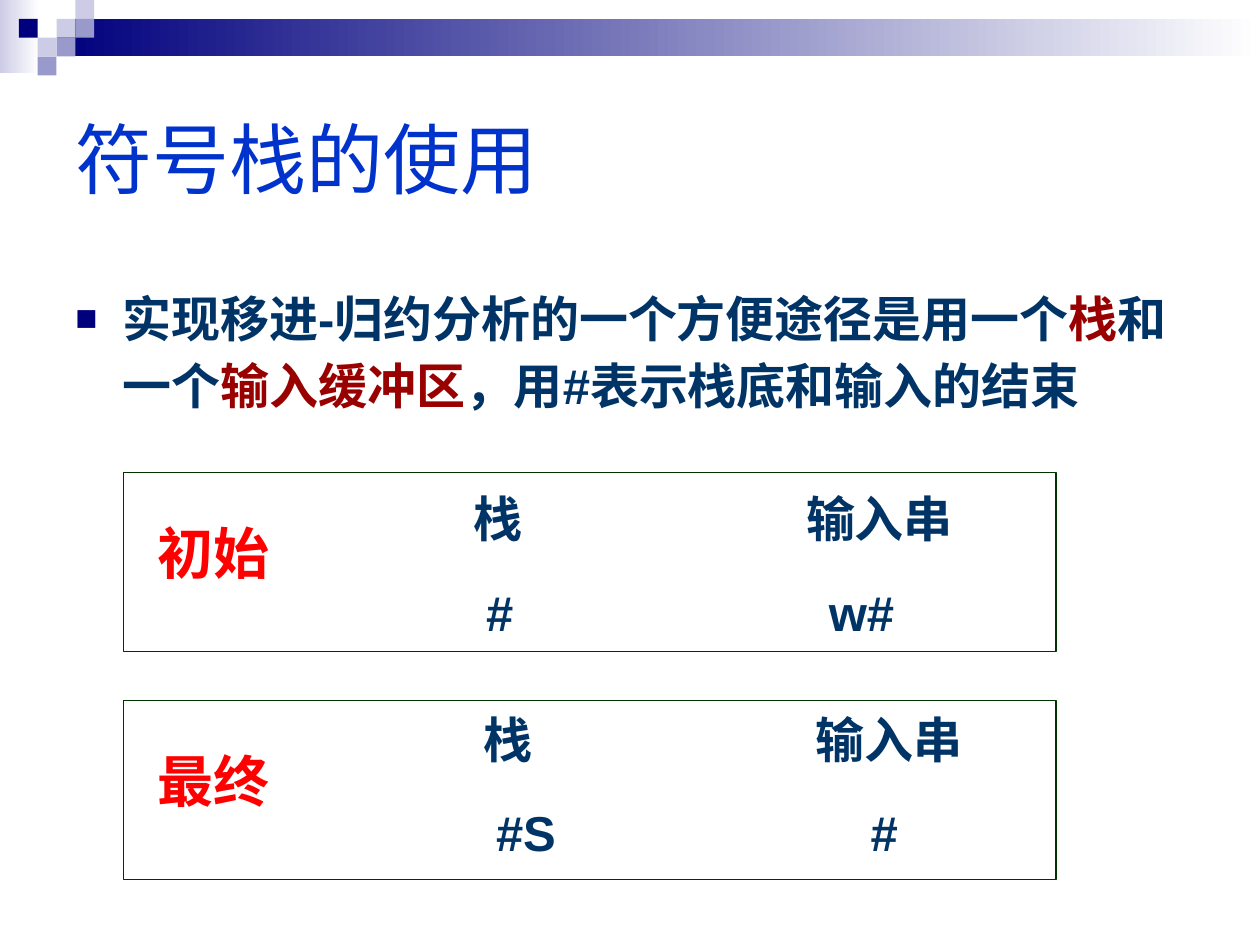
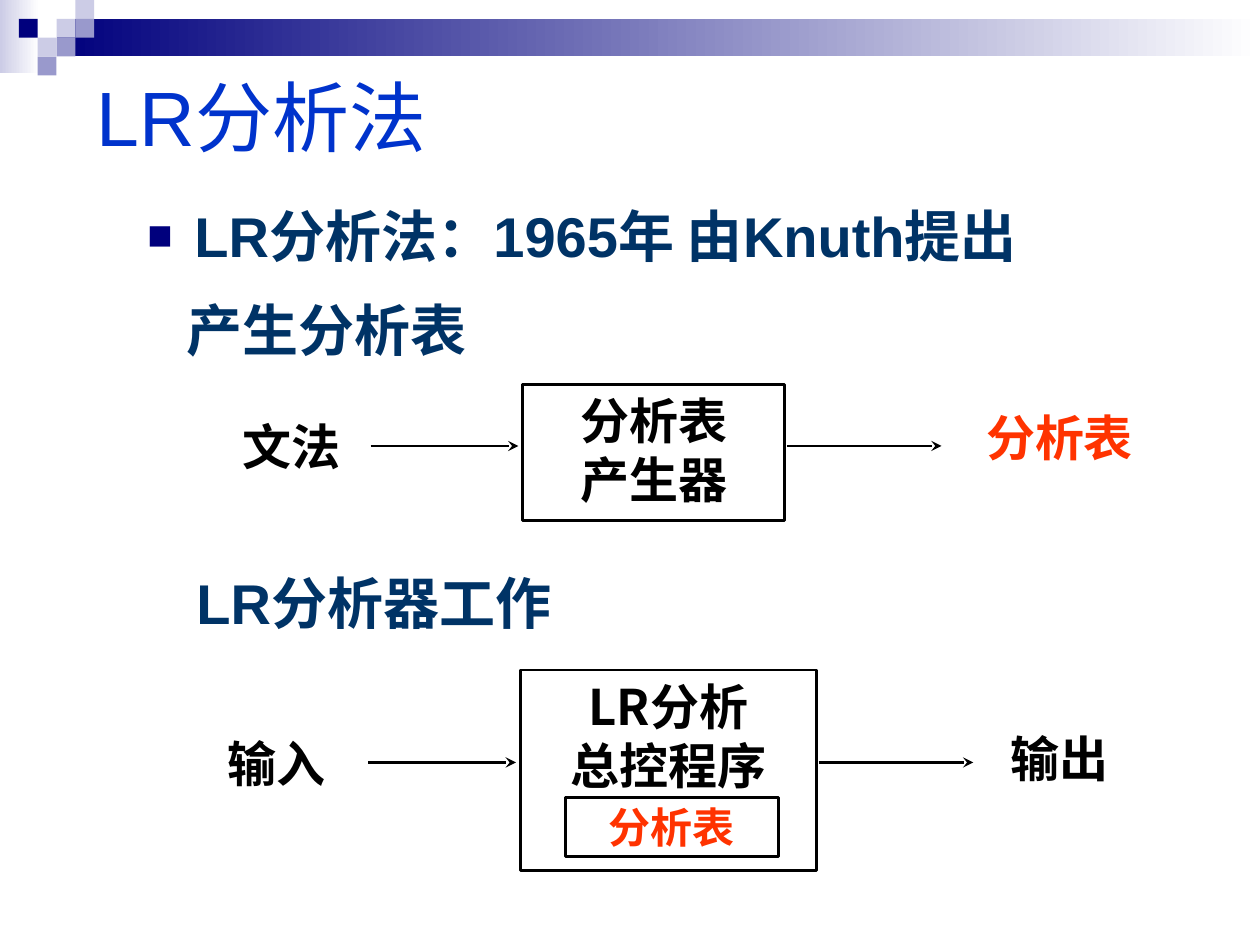
from dataclasses import dataclass

from lxml import etree
from pptx import Presentation
from pptx.dml.color import RGBColor
from pptx.enum import shapes, text
from pptx.oxml import ns
from pptx.util import Cm, Pt


@dataclass(frozen=True)
class Theme:
    navy: str = "00007D"
    mid: str = "9999CC"
    light: str = "CCCCE6"
    white: str = "FFFFFF"
    black: str = "000000"
    title: str = "0033CC"
    body: str = "003366"
    key: str = "990000"
    stage: str = "FF0000"
    table: str = "FF3300"
    frame: str = "003300"
    title_size: int = 44
    head_size: int = 32
    body_size: int = 28
    small_size: int = 24
    sans: str = "Arial"
    serif: str = "Times New Roman"
    cjk: str = "Noto Sans CJK SC"


T = Theme()
TITLE = dict(size=T.title_size, name=T.sans, color=T.title, bold=False)
HEAD = dict(size=T.head_size, name=T.sans, color=T.body, bold=True)
BODY = HEAD | dict(size=T.body_size)
STAGE = HEAD | dict(color=T.stage)
CENTER = text.PP_ALIGN.CENTER
MIDDLE = text.MSO_ANCHOR.MIDDLE
TOP = text.MSO_ANCHOR.TOP


def rgb(value):
    return RGBColor.from_string(value)


def add_run(p, words, style):
    r = p.add_run()
    r.text = words
    values = dict(size=Pt(style["size"]), name=style["name"], bold=style["bold"])
    for key, value in values.items():
        setattr(r.font, key, value)
    r.font.color.rgb = rgb(style["color"])
    ea = etree.SubElement(r.font._element, ns.qn("a:ea"))
    ea.set("typeface", T.cjk)


def write(tf, lines, style, align=text.PP_ALIGN.LEFT, anchor=TOP):
    """Each line is a string, or a list of (words, colour) pairs."""
    tf.word_wrap = True
    tf.vertical_anchor = anchor
    for i, line in enumerate(lines):
        p = tf.paragraphs[0] if i == 0 else tf.add_paragraph()
        p.alignment = align
        parts = [(line, style["color"])] if isinstance(line, str) else line
        for words, color in parts:
            add_run(p, words, style | dict(color=color))


def add_text(slide, box, lines, style, **layout):
    sp = slide.shapes.add_textbox(*map(Cm, box))
    write(sp.text_frame, lines, style, **layout)
    return sp


def add_bullet(p):
    pPr = p._p.get_or_add_pPr()
    pPr.set("marL", str(Cm(0.95)))
    pPr.set("indent", str(-Cm(0.95)))
    color = etree.SubElement(pPr, ns.qn("a:buClr"))
    etree.SubElement(color, ns.qn("a:srgbClr")).set("val", T.navy)
    for tag, key, value in (("a:buSzPct", "val", "75000"),
                            ("a:buFont", "typeface", T.sans),
                            ("a:buChar", "char", "■")):
        etree.SubElement(pPr, ns.qn(tag)).set(key, value)


def add_rect(slide, box, fill=None, line=None, weight=1.5):
    """fill is one colour, or a pair for a left-to-right gradient."""
    sp = slide.shapes.add_shape(shapes.MSO_SHAPE.RECTANGLE, *map(Cm, box))
    sp.shadow.inherit = False
    if fill is None:
        sp.fill.background()
    elif isinstance(fill, str):
        sp.fill.solid()
        sp.fill.fore_color.rgb = rgb(fill)
    else:
        sp.fill.gradient()
        sp.fill.gradient_angle = 0
        for stop, color in zip(sp.fill.gradient_stops, fill):
            stop.color.rgb = rgb(color)
    if line:
        sp.line.color.rgb = rgb(line)
        sp.line.width = Pt(weight)
    else:
        sp.line.fill.background()
    return sp


def add_arrow(slide, x1, x2, y):
    cxn = slide.shapes.add_connector(
        shapes.MSO_CONNECTOR.STRAIGHT, Cm(x1), Cm(y), Cm(x2), Cm(y))
    cxn.line.color.rgb = rgb(T.black)
    cxn.line.width = Pt(1.5)
    tail = etree.SubElement(cxn.line._get_or_add_ln(), ns.qn("a:tailEnd"))
    tail.set("type", "stealth")
    etree.SubElement(cxn._element.spPr, ns.qn("a:effectLst"))


def add_band(slide):
    cell = 0.38
    add_rect(slide, (0, 0, 0.79, 1.47), (T.light, T.white))
    add_rect(slide, (3 * cell, cell, 25.4 - 3 * cell, 2 * cell), (T.navy, T.white))
    mosaic = ((3, 1, T.light), (4, 0, T.light), (4, 1, T.mid), (2, 2, T.light),
              (1, 1, T.navy), (3, 2, T.mid), (2, 3, T.mid))
    for col, row, color in mosaic:
        add_rect(slide, (col * cell, row * cell, cell, cell), color)


def new_slide(prs, title, title_box):
    slide = prs.slides.add_slide(prs.slide_layouts[5])
    add_band(slide)
    sp = slide.shapes.title
    for key, value in zip(("left", "top", "width", "height"), title_box):
        setattr(sp, key, Cm(value))
    write(sp.text_frame, [title], TITLE, anchor=MIDDLE)
    return slide


def stack_panel(slide, box, stage, columns_at, values, input_dx):
    """A framed state: its stage name, then the stack and the input columns."""
    left, top = box[:2]
    x, y = left + columns_at[0], top + columns_at[1]
    add_rect(slide, box, line=T.frame, weight=0.75)
    add_text(slide, (left + 0.42, top + 0.8, 2.79, 1.63), [stage], STAGE, align=CENTER)
    cells = (("栈", 0, 0), ("输入串", 6.7, 0),
             (values[0], 0.25, 1.89), (values[1], input_dx, 1.89))
    for words, dx, dy in cells:
        add_text(slide, (x + dx, y + dy, 3.7, 1.45), [words], BODY)


def flow(slide, box, lines, style, arrow_dy, source, result):
    """A process box with an arrow in and out; labels are (words, dx, dy, style)."""
    left, top, width, _ = box
    right = left + width
    sp = add_rect(slide, box, line=T.black)
    write(sp.text_frame, lines, style, align=CENTER)
    add_arrow(slide, left - 3.07, left - 0.09, top + arrow_dy)
    add_arrow(slide, right + 0.04, right + 3.16, top + arrow_dy)
    w, h = 4.2, 1.7
    for edge, (words, dx, dy, label_style) in ((left, source), (right, result)):
        add_text(slide, (edge + dx - w / 2, top + dy - h / 2, w, h), [words],
                 label_style, align=CENTER, anchor=MIDDLE)


def stack_slide(prs):
    slide = new_slide(prs, "符号栈的使用", (1.27, 1.27, 22.86, 3.81))
    sentence = [("实现移进-归约分析的一个方便途径是用一个", T.body), ("栈", T.key),
                ("和一个", T.body), ("输入缓冲区", T.key),
                ("，用#表示栈底和输入的结束", T.body)]
    sp = add_text(slide, (1.27, 5.51, 22.86, 4.22), [sentence], BODY)
    p = sp.text_frame.paragraphs[0]
    p.line_spacing = 1.15
    add_bullet(p)
    states = (("初始", 9.53, (6.81, 0.2), ("#", "w#"), 7.16),
              ("最终", 14.12, (7.01, 0.05), ("#S", "#"), 7.8))
    for stage, top, columns_at, values, input_dx in states:
        stack_panel(slide, (2.49, top, 18.8, 3.61), stage, columns_at, values, input_dx)


def lr_slide(prs):
    slide = new_slide(prs, "LR分析法", (1.7, 1.27, 23.29, 2.11))
    sp = add_text(slide, (2.72, 3.94, 21.39, 2.54),
                  ["LR分析法：1965年 由Knuth提出"], HEAD)
    add_bullet(sp.text_frame.paragraphs[0])
    for words, left, top in (("产生分析表", 3.51, 5.84), ("LR分析器工作", 3.71, 11.33)):
        add_text(slide, (left, top, 9, 1.7), [words], HEAD)

    serif = BODY | dict(name=T.serif, color=T.black)
    cjk = serif | dict(name=T.cjk)
    flow(slide, (10.54, 7.75, 5.28, 2.74), ["分析表", "产生器"], serif, 1.24,
         ("文法", -4.66, 1.23, serif),
         ("分析表", 5.54, 1.05, serif | dict(color=T.table)))
    flow(slide, (10.49, 13.51, 5.97, 4.04), ["LR分析", "总控程序"], cjk, 1.86,
         ("输入", -4.91, 1.87, cjk), ("输出", 4.9, 1.76, cjk))
    table = add_rect(slide, (11.4, 16.08, 4.29, 1.19), line=T.black)
    write(table.text_frame, ["分析表"], cjk | dict(size=T.small_size, color=T.table),
          align=CENTER, anchor=MIDDLE)


def main():
    prs = Presentation()
    prs.slide_width, prs.slide_height = Cm(25.4), Cm(19.05)
    stack_slide(prs)
    lr_slide(prs)
    prs.save("out.pptx")


if __name__ == "__main__":
    main()
